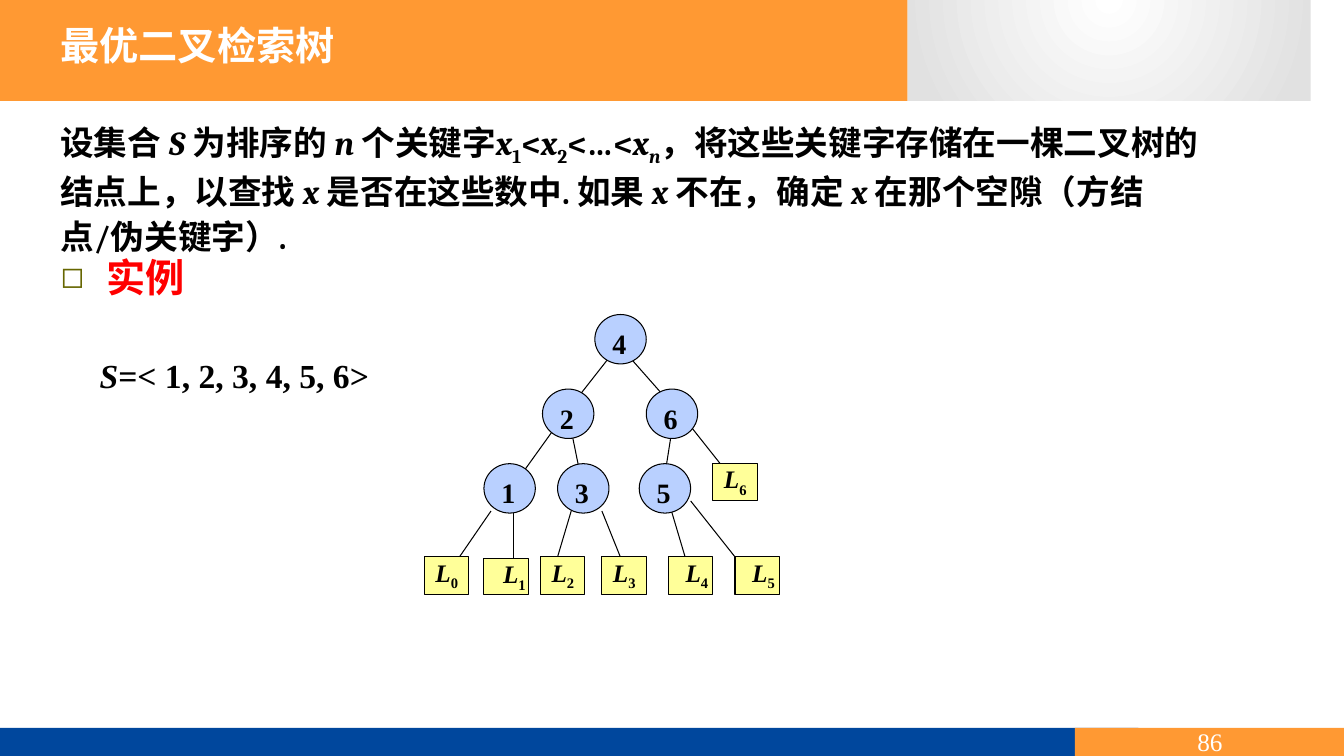
from lxml import etree
from pptx import Presentation
from pptx.dml.color import RGBColor
from pptx.enum.shapes import MSO_CONNECTOR, MSO_SHAPE
from pptx.enum.text import MSO_ANCHOR, MSO_AUTO_SIZE, PP_ALIGN
from pptx.oxml.ns import qn
from pptx.util import Inches, Pt

RECT, OVAL = MSO_SHAPE.RECTANGLE, MSO_SHAPE.OVAL
STRAIGHT = MSO_CONNECTOR.STRAIGHT
TOP, MIDDLE = MSO_ANCHOR.TOP, MSO_ANCHOR.MIDDLE
LEFT, CENTER = PP_ALIGN.LEFT, PP_ALIGN.CENTER
NO_FIT = MSO_AUTO_SIZE.NONE

ORANGE = RGBColor(0xFF, 0x99, 0x33)
BLUE = RGBColor(0x00, 0x47, 0x9D)
GREY = RGBColor(0xE1, 0xE1, 0xE1)
WHITE = RGBColor(0xFF, 0xFF, 0xFF)
BLACK = RGBColor(0x00, 0x00, 0x00)
RED = RGBColor(0xFF, 0x00, 0x00)
NODE_BLUE = RGBColor(0xB9, 0xD0, 0xFF)
LEAF_YELLOW = RGBColor(0xFF, 0xFF, 0x99)
CJK, SERIF, ROMAN = "Noto Sans CJK SC", "Cambria", "Times New Roman"

# Content: runs are (text, style), i = italic, s = subscript
TITLE = "最优二叉检索树"
DEFINITION = [
    ("设集合 ", ""), ("S ", "i"), ("为排序的 ", ""), ("n ", "i"), ("个关键字", ""),
    ("x", "i"), ("1", "s"), ("<", ""), ("x", "i"), ("2", "s"), ("<…<", ""),
    ("x", "i"), ("n", "is"), ("，将这些关键字存储在一棵二叉树的结点上，以查找 ", ""),
    ("x ", "i"), ("是否在这些数中. 如果 ", ""), ("x ", "i"), ("不在，确定 ", ""),
    ("x ", "i"), ("在那个空隙（方结点/伪关键字）.", ""),
]
EXAMPLE = "实例"
KEY_SET = [("S", "i"), ("=< 1, 2, 3, 4, 5, 6>", "")]
PAGE = "86"

# Tree grid: key -> (column, row)
NODES = {"4": (7.68, 0), "2": (5.32, 4), "6": (10, 4),
         "5": (9.68, 8), "3": (6, 8), "1": (2.68, 8)}
# Leaf index -> (column, row, text inset in inches)
LEAVES = {"0": (0, 13, 0.11), "1": (2.68, 13.1, 0.19), "2": (5.23, 13, 0.11),
          "4": (11, 13, 0.17), "5": (14, 13, 0.17), "6": (13, 8, 0.11),
          "3": (8, 13, 0.11)}
# Branches: (column, row) of start and end
BRANCHES = [
    ((12, 6), (14, 9)), ((11, 10), (12, 14)), ((8, 10.54), (9, 13.5)),
    ((7, 9), (6, 13)), ((4, 10), (4, 13.5)), ((3, 10.54), (1, 14)),
    ((6.41, 5), (7.32, 10.32)), ((9.27, 2.32), (12, 6)),
    ((6.32, 5.35), (3.32, 10.32)), ((8.32, 2.32), (6.32, 5.35)),
    ((11.36, 4.65), (10.64, 10.1)), ((12, 10), (14, 13)),
]
COL, ROW = 0.22, 0.185
TREE_X, TREE_Y = 4.21, 3.12
MARGIN = 0.5

prs = Presentation()
prs.slide_width, prs.slide_height = Inches(13.33), Inches(7.5)
s = prs.slides.add_slide(prs.slide_layouts[1])


def grid(col, row):
    return Inches(TREE_X + col * COL), Inches(TREE_Y + row * ROW)


def place(sp, x, y, w, h):
    sp.left, sp.top, sp.width, sp.height = (Inches(v) for v in (x, y, w, h))


def write(p, runs, size, color, font, bold=True):
    for text, style in runs:
        r = p.add_run()
        r.text = text
        f = r.font
        f.size, f.bold, f.italic, f.name = Pt(size), bold, "i" in style, font
        f.color.rgb = color
        etree.SubElement(f._element, qn("a:ea")).set("typeface", CJK)
        if "s" in style:
            f._element.set("baseline", "-25000")


def frame(sp, anchor=TOP, wrap=True):
    tf = sp.text_frame
    tf.auto_size, tf.word_wrap, tf.vertical_anchor = NO_FIT, wrap, anchor
    p = tf.paragraphs[0]
    p.alignment, p.space_before = LEFT, Pt(0)
    return p


def preset(kind, x, y, w, h, color, outlined):
    sp = s.shapes.add_shape(kind, x, y, Inches(w), Inches(h))
    sp.shadow.inherit = False
    sp.fill.solid()
    sp.fill.fore_color.rgb = color
    if outlined:
        sp.line.color.rgb, sp.line.width = BLACK, Pt(0.75)
    else:
        sp.line.fill.background()
    return sp


def curve(p0, p1, p2, p3, steps=20):
    ts = [n / steps for n in range(steps + 1)]
    return [tuple((1 - t) ** 3 * a + 3 * t * (1 - t) ** 2 * b
                  + 3 * t * t * (1 - t) * c + t ** 3 * d
                  for a, b, c, d in zip(p0, p1, p2, p3)) for t in ts]


def outline(points):
    fb = s.shapes.build_freeform(*points[0], scale=Inches(1))
    fb.add_line_segments(points[1:], close=True)
    sp = fb.convert_to_shape()
    sp.shadow.inherit = False
    sp.line.fill.background()
    # Header bands lie behind the title
    s.shapes._spTree.remove(sp._element)
    s.shapes._spTree.insert(2, sp._element)
    return sp


# Header bands
banner = outline([(0.14, 0.09)] + curve((8, 0.09), (8.89, 0.21), (9.03, 0.57), (9.25, 0.68))
                 + [(0.14, 0.68)])
banner.fill.solid()
banner.fill.fore_color.rgb = ORANGE
corner = outline([(13.22, 0.68)] + curve((9.59, 0.68), (9.18, 0.57), (8.96, 0.21), (8.75, 0.09))
                 + [(13.22, 0.09)])
corner.fill.gradient()
for stop, color in zip(corner.fill.gradient_stops, (WHITE, GREY)):
    stop.color.rgb = color
grad = corner._element.spPr.find(qn("a:gradFill"))
grad.remove(grad.find(qn("a:lin")))
radial = etree.SubElement(grad, qn("a:path"), {"path": "circle"})
etree.SubElement(radial, qn("a:fillToRect"),
                 {"l": "50000", "t": "-80000", "r": "50000", "b": "180000"})

# Footer and page number
FOOT = Inches(7.22)
preset(RECT, 0, FOOT, 11.29, 0.28, BLUE, False)
p = frame(preset(RECT, Inches(10.66), FOOT, 2.68, 0.28, ORANGE, False), MIDDLE)
p.alignment = CENTER
write(p, [(PAGE, "")], 18, WHITE, ROMAN, bold=False)

# Title
title = s.shapes.title
place(title, MARGIN, 0.16, 6.84, 0.57)
write(frame(title), [(TITLE, "")], 28, WHITE, CJK)

# Definition
box = s.shapes.add_textbox(0, 0, 0, 0)
place(box, MARGIN, 1.11, 11.61, 1.41)
p = frame(box)
p.line_spacing = 1.1
write(p, DEFINITION, 24, BLACK, SERIF)

# Example heading with a square bullet
body = s.placeholders[1]
place(body, MARGIN, 2.46, 10.15, 0.69)
p = frame(body)
pPr = p._p.get_or_add_pPr()
pPr.set("marL", str(Inches(0.46)))
pPr.set("indent", str(-Inches(0.46)))
etree.SubElement(etree.SubElement(pPr, qn("a:buClr")), qn("a:srgbClr")).set("val", "666600")
etree.SubElement(pPr, qn("a:buSzPct")).set("val", "75000")
etree.SubElement(pPr, qn("a:buFont")).set("typeface", "DejaVu Sans")
etree.SubElement(pPr, qn("a:buChar")).set("char", "◻")
write(p, [(EXAMPLE, "")], 28, RED, CJK)

# Branches of the tree
for start, end in BRANCHES:
    line = s.shapes.add_connector(STRAIGHT, *grid(*start), *grid(*end))
    line.line.color.rgb, line.line.width = BLACK, Pt(0.75)
    etree.SubElement(line._element.spPr, qn("a:effectLst"))

# Key nodes
for key, cell in NODES.items():
    sp = preset(OVAL, *grid(*cell), 0.51, 0.49, NODE_BLUE, True)
    write(frame(sp), [(key, "")], 20, BLACK, ROMAN)

# Gap leaves, all ending on the same line within a level
for index, (col, row, inset) in LEAVES.items():
    height = 2 * ROW - row % 1 * ROW
    sp = preset(RECT, *grid(col, row), 2 * COL, height, LEAF_YELLOW, True)
    p, tf = frame(sp), sp.text_frame
    tf.margin_left = Inches(inset)
    tf.margin_top = tf.margin_right = tf.margin_bottom = 0
    write(p, [("L", "i"), (index, "s")], 18, BLACK, ROMAN)

# Key set
box = s.shapes.add_textbox(0, 0, 0, 0)
place(box, 0.56, 3.47, 3.23, 0.51)
p = frame(box, MIDDLE, wrap=False)
p._p.get_or_add_pPr().set("indent", str(Inches(0.33)))
write(p, KEY_SET, 24, BLACK, ROMAN)

prs.save("out.pptx")
